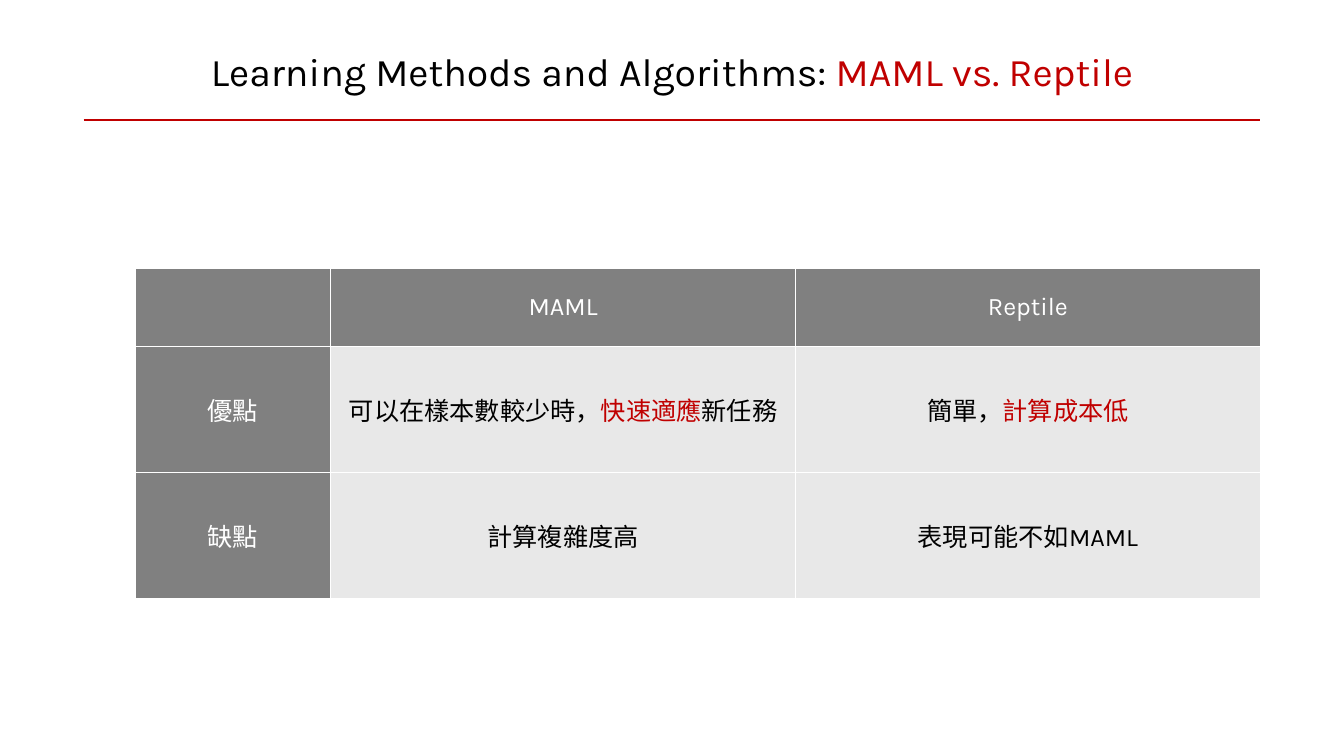
from typing import NamedTuple

from lxml import etree
from pptx import Presentation
from pptx.dml.color import RGBColor
from pptx.enum import shapes, text
from pptx.oxml import ns
from pptx.util import Inches, Pt

FONT = "Karla"
BLACK, WHITE, RED = "000000", "FFFFFF", "C00000"
HEADER_GRAY, BODY_GRAY = "808080", "E8E8E8"
LEFT, RIGHT = 0.83, 12.5


class Run(NamedTuple):
    text: str
    color: str = BLACK


def color(value: str) -> RGBColor:
    return RGBColor.from_string(value)


def write(paragraph, runs: list[Run], size: float) -> None:
    paragraph.alignment = text.PP_ALIGN.CENTER
    for item in runs:
        run = paragraph.add_run()
        run.text = item.text
        for name, value in {"name": FONT, "size": Pt(size), "bold": False}.items():
            setattr(run.font, name, value)
        run.font.color.rgb = color(item.color)


def add_borders(cell, line_color: str, width: float) -> None:
    properties = cell._tc.get_or_add_tcPr()
    for side in ("lnL", "lnR", "lnT", "lnB"):
        border = etree.SubElement(properties, ns.qn(f"a:{side}"), w=str(Pt(width)))
        fill = etree.SubElement(border, ns.qn("a:solidFill"))
        etree.SubElement(fill, ns.qn("a:srgbClr"), val=line_color)


def add_title(slide, runs: list[Run]) -> None:
    title = slide.shapes.title
    place = {"left": LEFT, "top": 0.42, "width": RIGHT - LEFT, "height": 0.57}
    for name, value in place.items():
        setattr(title, name, Inches(value))
    frame_format = {
        "word_wrap": True,
        "auto_size": text.MSO_AUTO_SIZE.SHAPE_TO_FIT_TEXT,
        "vertical_anchor": text.MSO_ANCHOR.TOP,
    }
    for name, value in frame_format.items():
        setattr(title.text_frame, name, value)
    write(title.text_frame.paragraphs[0], runs, 28)


def add_rule(slide, top: float) -> None:
    rule = slide.shapes.add_connector(
        shapes.MSO_CONNECTOR.STRAIGHT,
        Inches(LEFT), Inches(top), Inches(RIGHT), Inches(top))
    rule.line.color.rgb = color(RED)
    rule.line.width = Pt(1.5)
    etree.SubElement(rule._element.spPr, ns.qn("a:effectLst"))


def add_comparison(slide, rows: list[list[list[Run]]]) -> None:
    widths, heights = [1.94, 4.61, 4.61], [0.78, 1.25, 1.25]
    table = slide.shapes.add_table(
        len(heights), len(widths), Inches(1.34), Inches(2.66),
        Inches(sum(widths)), Inches(sum(heights))).table
    for column, width in zip(table.columns, widths):
        column.width = Inches(width)
    for row, height in zip(table.rows, heights):
        row.height = Inches(height)
    for row_index, row in enumerate(rows):
        for column_index, runs in enumerate(row):
            cell = table.cell(row_index, column_index)
            is_header = row_index == 0 or column_index == 0
            add_borders(cell, WHITE, 1)
            cell.fill.solid()
            cell.fill.fore_color.rgb = color(HEADER_GRAY if is_header else BODY_GRAY)
            cell.vertical_anchor = text.MSO_ANCHOR.MIDDLE
            write(cell.text_frame.paragraphs[0], runs, 18)


def main() -> None:
    presentation = Presentation()
    presentation.slide_width, presentation.slide_height = Inches(13.33), Inches(7.5)
    slide = presentation.slides.add_slide(presentation.slide_layouts[5])

    # Heading
    add_title(slide, [Run("Learning Methods and Algorithms: "),
                      Run("MAML vs. Reptile", RED)])
    add_rule(slide, 1.19)

    # Advantages and drawbacks
    add_comparison(slide, [
        [[], [Run("MAML", WHITE)], [Run("Reptile", WHITE)]],
        [[Run("優點", WHITE)],
         [Run("可以在樣本數較少時，"), Run("快速適應", RED), Run("新任務")],
         [Run("簡單，"), Run("計算成本低", RED)]],
        [[Run("缺點", WHITE)],
         [Run("計算複雜度高")],
         [Run("表現可能不如MAML")]],
    ])

    presentation.save("out.pptx")


if __name__ == "__main__":
    main()
